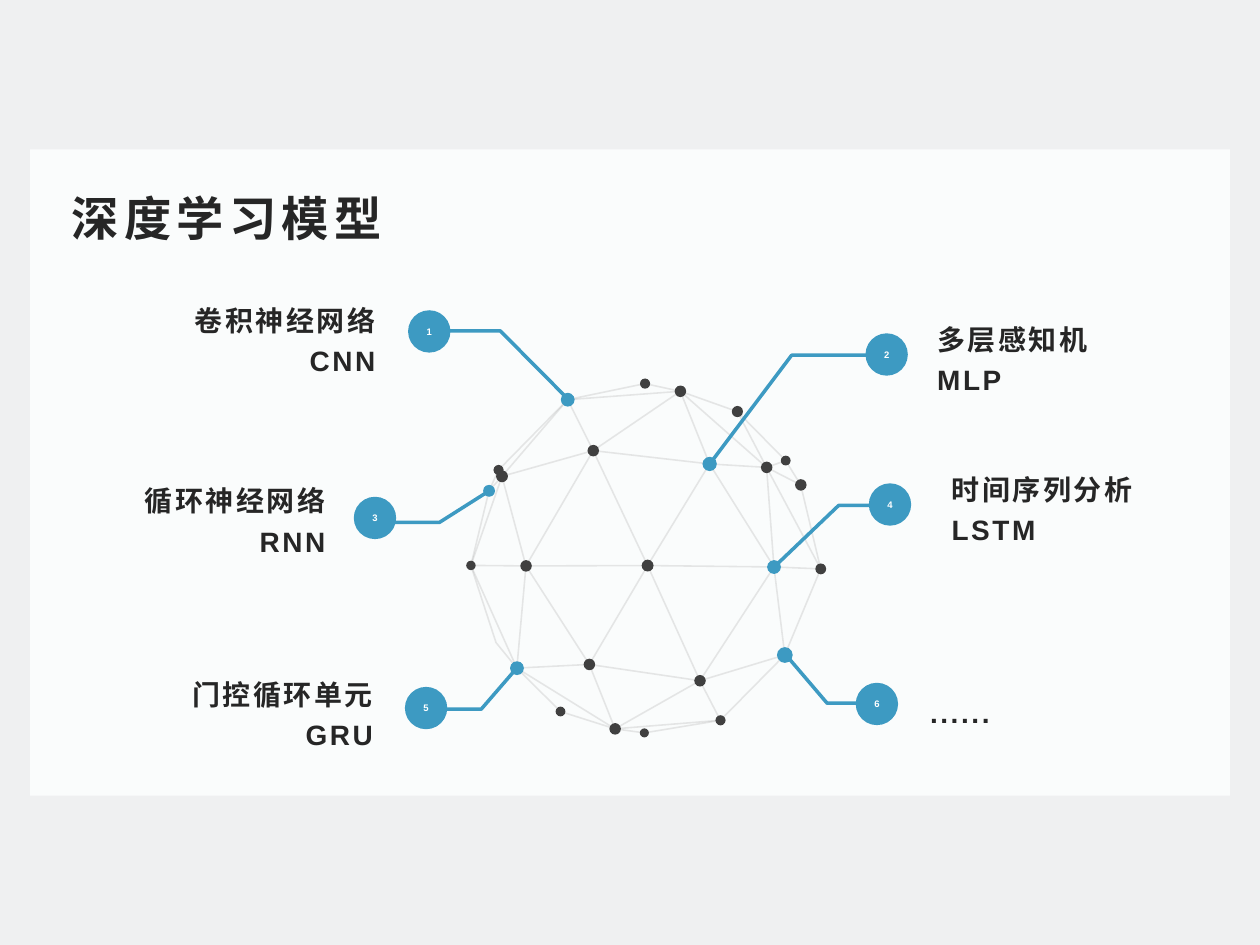
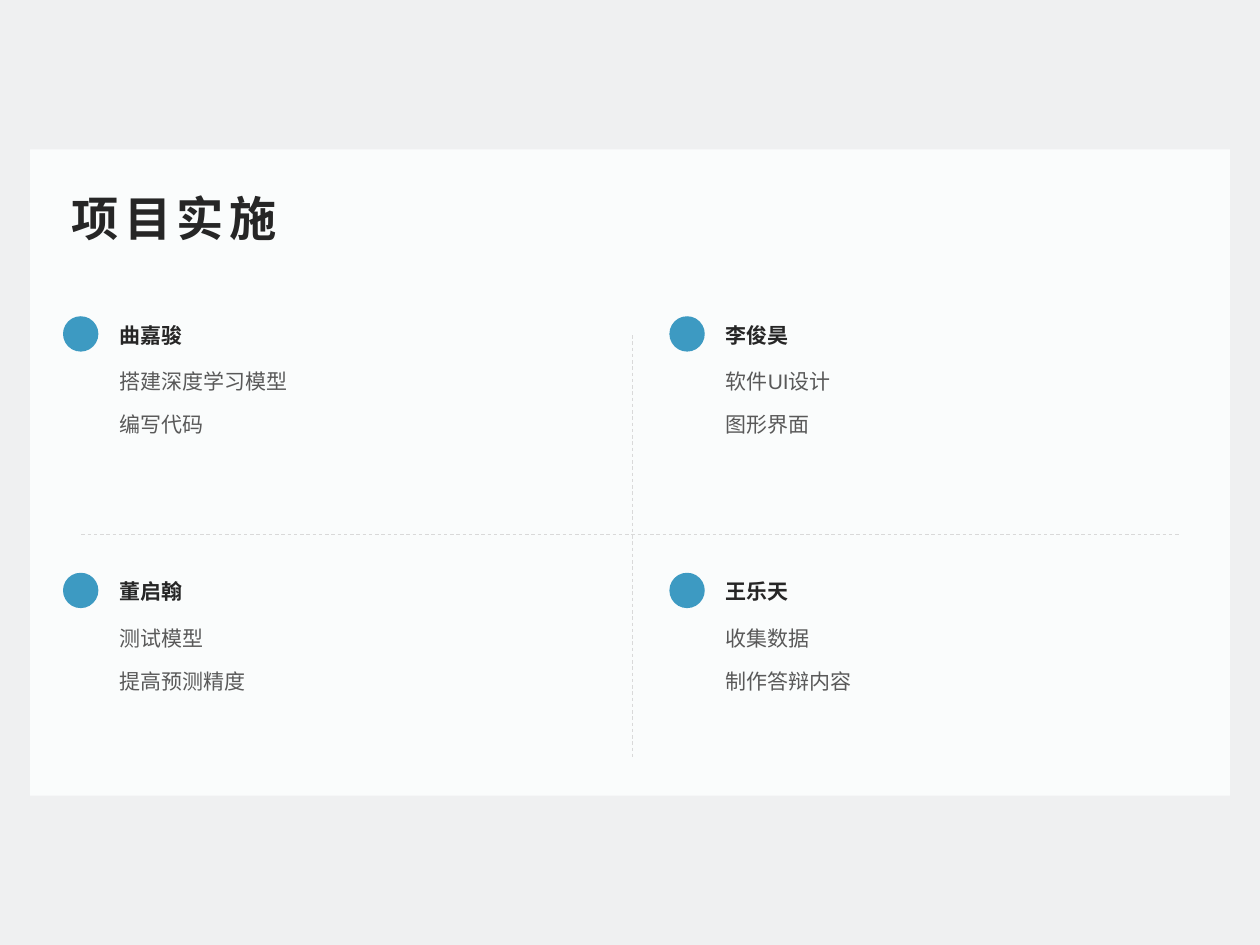
from dataclasses import dataclass
from itertools import product
from typing import NamedTuple

from lxml.etree import SubElement
from pptx import Presentation
from pptx.dml.color import RGBColor
from pptx.enum.dml import MSO_LINE
from pptx.enum.lang import MSO_LANGUAGE_ID
from pptx.enum.shapes import MSO_CONNECTOR, MSO_SHAPE
from pptx.enum.text import MSO_ANCHOR, MSO_AUTO_SIZE, PP_ALIGN
from pptx.oxml.ns import qn
from pptx.shapes.autoshape import Shape
from pptx.slide import Slide
from pptx.text.text import TextFrame
from pptx.util import Pt

BACKDROP = RGBColor(0xEF, 0xF0, 0xF1)
PANEL = RGBColor(0xFA, 0xFC, 0xFC)
ACCENT = RGBColor(0x3D, 0x9A, 0xC2)
INK = RGBColor(0x26, 0x26, 0x26)
BODY = RGBColor(0x59, 0x59, 0x59)
DOT = RGBColor(0x40, 0x40, 0x40)
MESH = RGBColor(0xA6, 0xA6, 0xA6)
RULE = RGBColor(0xD9, 0xD9, 0xD9)
WHITE = RGBColor(0xFF, 0xFF, 0xFF)
FONT = "Arial"
TITLE_ONLY = 5
BADGE = 24.2
LABEL_W, LABEL_H = 161.3, 71.3

Point = tuple[float, float]


class Node(NamedTuple):
    x: float
    y: float
    size: float
    color: RGBColor = DOT


@dataclass(frozen=True)
class Style:
    size: float
    color: RGBColor
    bold: bool = False
    align: PP_ALIGN = PP_ALIGN.LEFT
    tracking: float = 0
    line_spacing: float = 1.0
    space_before: float = 0


@dataclass(frozen=True)
class Callout:
    number: int
    badge: Point
    route: list[Point]
    label: Point
    lines: list[str]


@dataclass(frozen=True)
class Member:
    name: str
    tasks: list[str]


def write(tf: TextFrame, lines: list[str], style: Style,
          anchor: MSO_ANCHOR = MSO_ANCHOR.MIDDLE,
          inset: Point = (5, 3), wrap: bool = True) -> None:
    tf.word_wrap = wrap
    tf.auto_size = MSO_AUTO_SIZE.NONE
    tf.vertical_anchor = anchor
    tf.margin_left = tf.margin_right = Pt(inset[0])
    tf.margin_top = tf.margin_bottom = Pt(inset[1])
    for i, line in enumerate(lines):
        p = tf.add_paragraph() if i else tf.paragraphs[0]
        p.alignment = style.align
        p.line_spacing = style.line_spacing
        p.space_before = Pt(style.space_before)
        p.font.name = FONT
        p.font.size = Pt(style.size)
        p.font.bold = style.bold
        p.font.color.rgb = style.color
        r = p.add_run()
        r.text = line
        r.font.language_id = MSO_LANGUAGE_ID.SIMPLIFIED_CHINESE
        if style.tracking:
            r._r.get_or_add_rPr().set("spc", str(int(style.tracking * 100)))


def add_filled(s: Slide, kind: MSO_SHAPE, x: float, y: float, w: float, h: float,
               color: RGBColor) -> Shape:
    sp = s.shapes.add_shape(kind, Pt(x), Pt(y), Pt(w), Pt(h))
    sp.shadow.inherit = False
    sp.fill.solid()
    sp.fill.fore_color.rgb = color
    sp.line.fill.background()
    return sp


def add_text(s: Slide, x: float, y: float, w: float, h: float, lines: list[str],
             style: Style, anchor: MSO_ANCHOR, inset: Point) -> None:
    box = s.shapes.add_textbox(Pt(x), Pt(y), Pt(w), Pt(h))
    write(box.text_frame, lines, style, anchor, inset)


def add_paths(s: Slide, paths: list[list[Point]], color: RGBColor, width: float) -> Shape:
    scaled = [[(Pt(x), Pt(y)) for x, y in path] for path in paths]
    builder = s.shapes.build_freeform(*scaled[0][0])
    for i, (start, *rest) in enumerate(scaled):
        if i:
            builder.move_to(*start)
        builder.add_line_segments(rest, close=False)
    sp = builder.convert_to_shape()
    sp.shadow.inherit = False
    sp.fill.background()
    sp.line.color.rgb = color
    sp.line.width = Pt(width)
    return sp


def add_rule(s: Slide, start: Point, end: Point) -> None:
    line = s.shapes.add_connector(MSO_CONNECTOR.STRAIGHT, *map(Pt, start + end))
    line.line.color.rgb = RULE
    line.line.width = Pt(0.5)
    line.line.dash_style = MSO_LINE.DASH
    SubElement(line.element.spPr, qn("a:effectLst"))


def add_slide(title: str) -> Slide:
    s = prs.slides.add_slide(prs.slide_layouts[TITLE_ONLY])
    panel = add_filled(s, MSO_SHAPE.RECTANGLE, 17.2, 85.4, 685.6, 369.2, PANEL)
    head = s.shapes.title
    head.element.addprevious(panel.element)
    head.left, head.top, head.width, head.height = map(Pt, (36, 103.7, 648, 41.8))
    write(head.text_frame, [title], Style(27, INK, bold=True, tracking=3))
    return s


def add_network(s: Slide) -> None:
    paths = [[NODES[key][:2] for key in OUTLINE]]
    paths += [[NODES[hub][:2], NODES[end][:2]]
              for hub, ends in SPOKES.items() for end in ends]
    mesh = add_paths(s, paths, MESH, 0.9)
    for color in mesh.element.iter(qn("a:srgbClr")):
        SubElement(color, qn("a:alpha")).set("val", "25000")
    for x, y, size, color in NODES.values():
        if size:
            add_filled(s, MSO_SHAPE.OVAL, x - size / 2, y - size / 2, size, size, color)


def add_callout(s: Slide, c: Callout) -> None:
    add_paths(s, [c.route], ACCENT, 2)
    badge = add_filled(s, MSO_SHAPE.OVAL, *c.badge, BADGE, BADGE, ACCENT)
    write(badge.text_frame, [str(c.number)],
          Style(5.4, WHITE, bold=True, align=PP_ALIGN.CENTER), inset=(0, 0), wrap=False)
    align = PP_ALIGN.RIGHT if c.label[0] < c.badge[0] else PP_ALIGN.LEFT
    add_text(s, *c.label, LABEL_W, LABEL_H, c.lines,
             Style(16, INK, bold=True, align=align, tracking=1.5, line_spacing=1.2),
             MSO_ANCHOR.MIDDLE, (5, 3))


def add_member(s: Slide, x: float, y: float, m: Member) -> None:
    add_filled(s, MSO_SHAPE.OVAL, x, y, 20.2, 20.2, ACCENT)
    add_text(s, x + 25.2, y, 275.8, 23.8, [m.name], Style(12, INK, bold=True),
             MSO_ANCHOR.TOP, (7.2, 3.6))
    add_text(s, x + 25.2, y + 26.6, 275.8, 82.8, m.tasks,
             Style(12, BODY, space_before=10), MSO_ANCHOR.TOP, (7.2, 3.6))


NODES = {
    "A": Node(324.4, 228.4, 7.9, ACCENT),
    "B": Node(368.6, 219.2, 5.8),
    "C": Node(388.8, 223.6, 6.6),
    "D": Node(421.4, 235.2, 6.4),
    "E": Node(438.1, 267.1, 6.6),
    "F": Node(449, 263.2, 5.6),
    "G": Node(457.6, 277.1, 6.6),
    "H": Node(469, 325.1, 6.2),
    "I": Node(442.3, 324, 7.9, ACCENT),
    "J": Node(400, 389, 6.6),
    "K": Node(448.5, 374.3, 9, ACCENT),
    "L": Node(411.7, 411.6, 5.8),
    "M": Node(368.2, 418.8, 5.2),
    "N": Node(351.5, 416.5, 6.6),
    "O": Node(320.3, 406.6, 5.6),
    "P": Node(336.8, 379.7, 6.6),
    "Q": Node(295.4, 381.8, 7.9, ACCENT),
    "R": Node(370.1, 323.2, 6.8),
    "S": Node(300.6, 323.4, 6.6),
    "T": Node(269.1, 323.1, 5.4),
    "U": Node(286.9, 272.2, 6.8),
    "V": Node(284.9, 268.6, 5.8),
    "W": Node(339, 257.5, 6.6),
    "X": Node(405.5, 265.1, 8.2, ACCENT),
    "Y": Node(279.5, 280.5, 6.8, ACCENT),
    "Z": Node(283.5, 367.2, 0),
}
OUTLINE = "ABCDFGHKLMNOQZTYVA"
SPOKES = {
    "E": "CDFGHIX", "U": "ASTWY", "W": "ACRSX", "C": "AX", "X": "IR",
    "I": "HJKR", "R": "JPS", "S": "PQT", "Q": "NPT", "P": "JN",
    "N": "JL", "J": "KL",
}
CALLOUTS = [
    Callout(1, (233.2, 177.3), [(323.5, 227), (285.9, 189.1), (255, 189.1)],
            (58.3, 157), ["卷积神经网络", "CNN"]),
    Callout(2, (494.6, 190.5), [(406.6, 263.8), (452.4, 203), (501, 203)],
            (530.6, 167.8), ["多层感知机", "MLP"]),
    Callout(3, (202.2, 283.9), [(279.4, 280.6), (251.2, 298.5), (224, 298.5)],
            (29.7, 260), ["循环神经网络", "RNN"]),
    Callout(4, (496.5, 276.2), [(442.6, 323.8), (479.3, 288.8), (504.5, 288.8)],
            (538.8, 253.4), ["时间序列分析", "LSTM"]),
    Callout(5, (231.4, 392.5), [(295.8, 381.2), (275, 405.3), (254.2, 405.3)],
            (56.8, 370.8), ["门控循环单元", "GRU"]),
    Callout(6, (489, 390.2), [(448.2, 373.2), (472.6, 401.8), (490, 401.8)],
            (526.5, 369.4), ["......"]),
]
MEMBERS = [
    Member("曲嘉骏", ["搭建深度学习模型", "编写代码"]),
    Member("李俊昊", ["软件UI设计", "图形界面"]),
    Member("董启翰", ["测试模型", "提高预测精度"]),
    Member("王乐天", ["收集数据", "制作答辩内容"]),
]

prs = Presentation()
prs.slide_width, prs.slide_height = Pt(720), Pt(540)
backdrop = prs.slide_master.background.fill
backdrop.solid()
backdrop.fore_color.rgb = BACKDROP

s = add_slide("深度学习模型")
add_network(s)
for callout in CALLOUTS:
    add_callout(s, callout)

s = add_slide("项目实施")
add_rule(s, (46.5, 305.3), (673.5, 305.3))
add_rule(s, (361.4, 191.5), (361.4, 432.7))
for (y, x), member in zip(product((180.7, 327.3), (36, 382.5)), MEMBERS):
    add_member(s, x, y, member)

prs.save("out.pptx")
